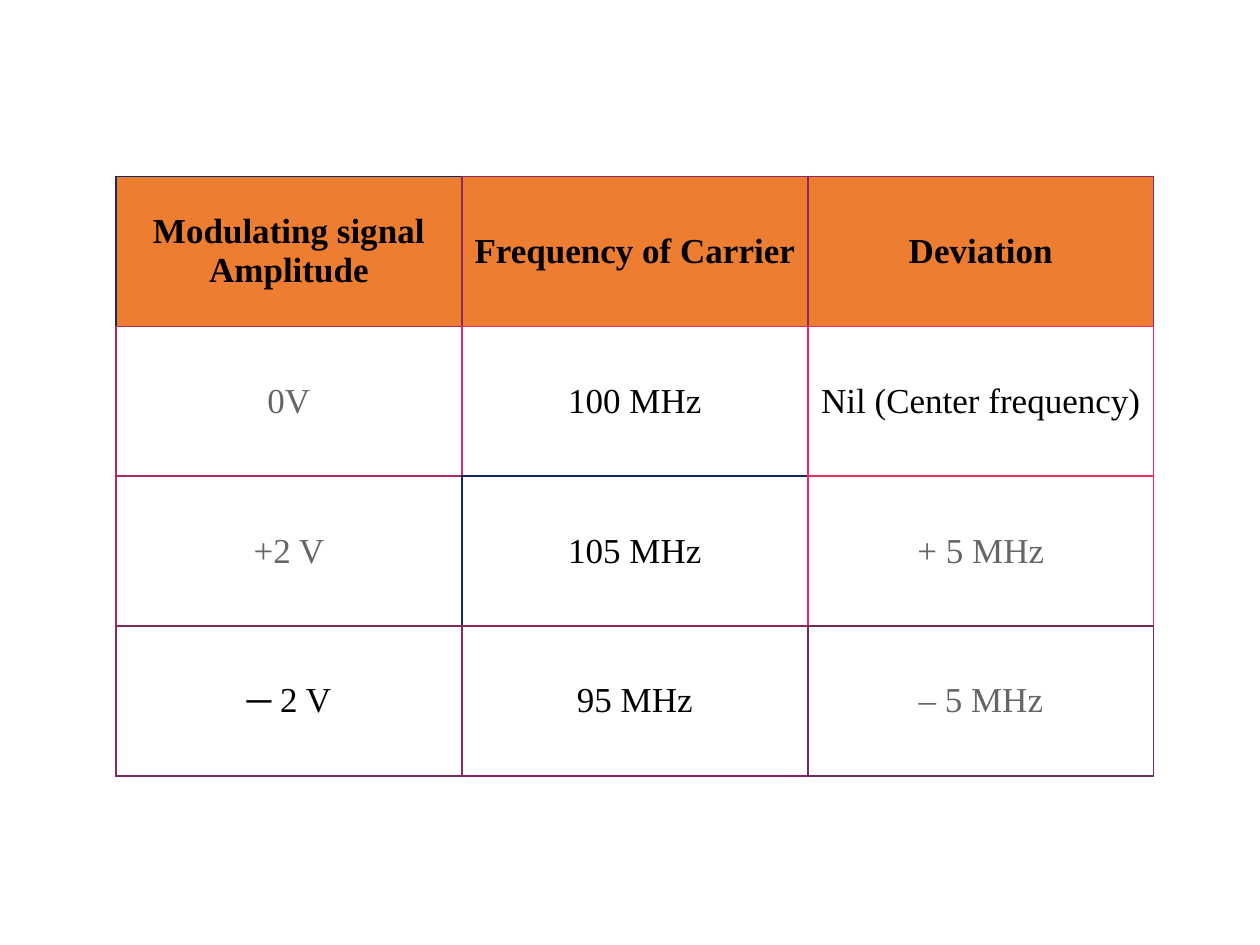
from lxml import etree
from pptx import Presentation
from pptx import util as u
from pptx.dml.color import RGBColor
from pptx.enum import text
from pptx.oxml.ns import qn

# Content: each cell is its wording and its text colour
ROWS = [
    [("Modulating signal Amplitude", "black"), ("Frequency of Carrier", "black"), ("Deviation", "black")],
    [("0V", "grey"), ("100 MHz", "black"), ("Nil (Center frequency)", "black")],
    [("+2 V", "grey"), ("105 MHz", "black"), ("+ 5 MHz", "grey")],
    [("─ 2 V", "black"), ("95 MHz", "black"), ("– 5 MHz", "grey")],
]
COLOURS = {
    "black": "000000", "grey": "666666", "header": "ED7D31", "body": "FFFFFF",
    "navy": "102C5F", "deep navy": "10295F", "plum": "90275F", "berry": "B0285F",
    "rose": "E02B5F", "pink": "F0275F", "hot pink": "F02A5F",
    "purple": "802B5F", "violet": "702C5F",
}
# Colour of each cell's left and top border
BORDERS = [
    ["navy", "plum", "plum"],
    ["berry", "rose", "pink"],
    ["berry", "deep navy", "hot pink"],
    ["purple", "plum", "violet"],
]
FONT, SIZE = "Times New Roman", 20
LEFT, TOP, COLUMN_WIDTH, ROW_HEIGHT = 0.92, 1.4, 2.746, 1.19
INNER_LINE, OUTER_LINE = 1, 0.75


def add_border(cell, side, colour, width):
    line = etree.SubElement(cell._tc.get_or_add_tcPr(), qn("a:ln" + side), w=str(u.Pt(width)))
    fill = etree.SubElement(line, qn("a:solidFill"))
    etree.SubElement(fill, qn("a:srgbClr"), val=COLOURS[colour])


def add_borders(cell, row, column):
    """Right and bottom edges take the colour of the neighbour they touch."""
    own = BORDERS[row][column]
    last_column = column == len(BORDERS[row]) - 1
    last_row = row == len(BORDERS) - 1
    right = (own, OUTER_LINE) if last_column else (BORDERS[row][column + 1], INNER_LINE)
    bottom = (own, OUTER_LINE) if last_row else (BORDERS[row + 1][column], INNER_LINE)
    add_border(cell, "L", own, INNER_LINE)
    add_border(cell, "R", *right)
    add_border(cell, "T", own, INNER_LINE)
    add_border(cell, "B", *bottom)


def fill_cell(cell, wording, colour, is_header):
    cell.fill.solid()
    cell.fill.fore_color.rgb = RGBColor.from_string(COLOURS["header" if is_header else "body"])
    cell.vertical_anchor = text.MSO_ANCHOR.MIDDLE
    cell.margin_left = cell.margin_right = u.Inches(0.04)
    cell.margin_top = cell.margin_bottom = u.Inches(0.02)
    cell.text_frame.text = wording
    paragraph = cell.text_frame.paragraphs[0]
    paragraph.alignment = text.PP_ALIGN.CENTER
    font = paragraph.runs[0].font
    font.name, font.size, font.bold = FONT, u.Pt(SIZE), is_header
    font.color.rgb = RGBColor.from_string(COLOURS[colour])


def main():
    presentation = Presentation()
    presentation.slide_width, presentation.slide_height = u.Inches(10), u.Inches(7.5)
    slide = presentation.slides.add_slide(presentation.slide_layouts[6])

    # Frequency deviation table
    row_count, column_count = len(ROWS), len(ROWS[0])
    table = slide.shapes.add_table(
        row_count, column_count, u.Inches(LEFT), u.Inches(TOP),
        u.Inches(COLUMN_WIDTH * column_count), u.Inches(ROW_HEIGHT * row_count)).table
    table.horz_banding = False
    for row, cells in enumerate(ROWS):
        for column, (wording, colour) in enumerate(cells):
            cell = table.cell(row, column)
            add_borders(cell, row, column)
            fill_cell(cell, wording, colour, is_header=row == 0)

    presentation.save("out.pptx")


if __name__ == "__main__":
    main()
